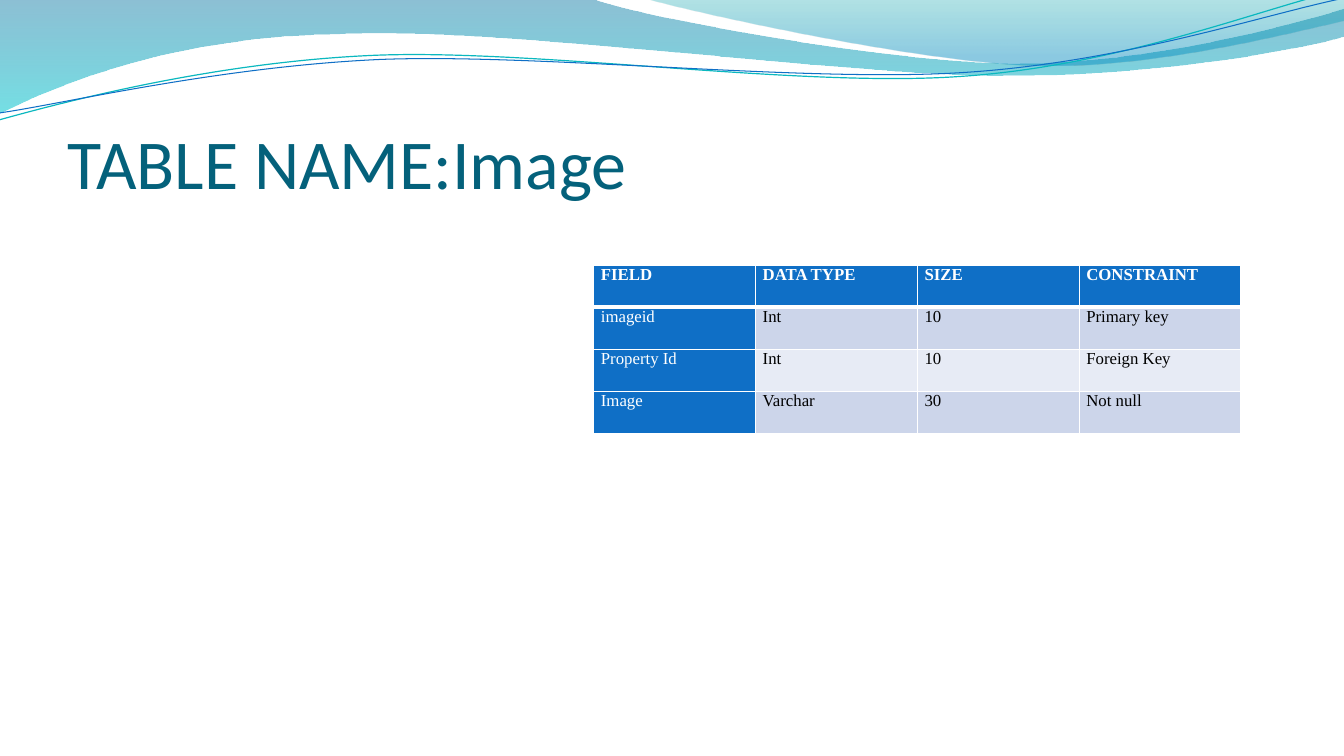
from math import cos, radians, sin

from lxml import etree
from pptx import Presentation
from pptx.dml.color import RGBColor
from pptx.enum.text import MSO_ANCHOR
from pptx.oxml.ns import qn
from pptx.util import Emu, Inches, Pt

BOTTOM = MSO_ANCHOR.BOTTOM
TOP = MSO_ANCHOR.TOP
COLS, ROWS = 13.33, 7.5
WIDE, HIGH = Inches(COLS), Inches(ROWS)
TILT = 2.7
BLUE, WHITE, BLACK = "0F6FC6", "FFFFFF", "000000"
BANDS = ["CCD5EA", "E7EBF5"]

BAND = [(0, 0), [(5.87, -0.01)],
        [(6.34, 0.17), (8.85, 0.63), (10.11, 0.63)],
        [(11.38, 0.63), (12.78, 0.26), (13.33, 0.09)], [(13.35, 0.36)],
        [(13.11, 0.44), (11.6, 0.76), (9.94, 0.75)],
        [(8.29, 0.75), (5.09, 0.28), (3.43, 0.34)],
        [(1.72, 0.36), (0.61, 0.83), (-0.01, 1.13)], [(0, 0)]]
CREST = [(6.39, -0.01),
         [(6.79, 0.11), (9.09, 0.62), (10.25, 0.65)],
         [(11.41, 0.69), (12.82, 0.32), (13.33, 0.21)],
         [(13.33, 0)], [(6.39, -0.01)]]
TEAL_LINE = [(-0.01, 1.19),
             [(0.64, 1.01), (2.11, 0.62), (3.69, 0.55)],
             [(5.27, 0.48), (7.9, 0.87), (9.5, 0.76)],
             [(11.1, 0.66), (12.52, 0.08), (13.31, -0.1)]]
BLUE_LINE = [(0, 1.12),
             [(0.63, 1.03), (2.18, 0.66), (3.78, 0.59)],
             [(5.37, 0.53), (7.96, 0.82), (9.55, 0.72)],
             [(11.15, 0.62), (12.55, 0.14), (13.34, -0.02)]]
FIELDS = [["FIELD", "DATA TYPE", "SIZE", "CONSTRAINT"],
          ["imageid", "Int", "10", "Primary key"],
          ["Property Id", "Int", "10", "Foreign Key"],
          ["Image", "Varchar", "30", "Not null"]]


def color(code):
    return RGBColor.from_string(code)


def across(cols):
    return Emu(round(WIDE * cols / COLS))


def down(rows):
    return Emu(round(HIGH * rows / ROWS))


def write(frame, text, font="Calibri", size=12, ink=BLACK, bold=False,
          anchor=TOP, inset=(0, 0, 0, 0)):
    frame.word_wrap = True
    frame.vertical_anchor = anchor
    frame.margin_left, frame.margin_right = map(across, inset[::2])
    frame.margin_top, frame.margin_bottom = map(down, inset[1::2])
    run = frame.paragraphs[0].add_run()
    run.text = text
    run.font.name = font
    run.font.size = Pt(size)
    run.font.bold = bold
    run.font.color.rgb = color(ink)


def turn(route, pivot, angle):
    a, (px, py) = radians(angle), pivot

    def spin(x, y):
        x, y = x - px, y - py
        return px + x * cos(a) - y * sin(a), py + x * sin(a) + y * cos(a)

    return [spin(*route[0])] + [[spin(*p) for p in part] for part in route[1:]]


def curve(shape, parts):
    legs = iter(list(shape.element.spPr.iter(qn("a:lnTo"))))
    for part in parts:
        group = [next(legs) for point in part]
        if len(group) == 3:
            bend = etree.Element(qn("a:cubicBezTo"))
            group[0].addprevious(bend)
            for leg in group:
                bend.append(leg[0])
                leg.getparent().remove(leg)


def trace(slide, route, closed):
    points = route[:1] + [point for part in route[1:] for point in part]
    spots = [(across(x), down(y)) for x, y in points]
    pen = slide.shapes.build_freeform(*spots[0])
    pen.add_line_segments(spots[1:], close=closed)
    shape = pen.convert_to_shape()
    curve(shape, route[1:])
    shape.shadow.inherit = False
    return shape


def wave(slide, route, stops):
    shape = trace(slide, route, True)
    shape.line.fill.background()
    shape.fill.gradient()
    shape.fill.gradient_angle = 270
    for stop, (place, code, share) in zip(shape.fill.gradient_stops, stops):
        stop.position = place
        stop.color.rgb = color(code)
    tints = shape.element.spPr.iter(qn("a:srgbClr"))
    for tint, (place, code, share) in zip(tints, stops):
        etree.SubElement(tint, qn("a:alpha"), val=str(share * 1000))


def thread(slide, route, pivot, code, weight):
    shape = trace(slide, turn(route, pivot, TILT), False)
    shape.rotation = -TILT
    shape.fill.background()
    shape.line.color.rgb = color(code)
    shape.line.width = Pt(weight)


def edge(cell, side, weight):
    line = etree.SubElement(cell._tc.get_or_add_tcPr(), qn("a:ln" + side),
                            w=str(Pt(weight)))
    fill = etree.SubElement(line, qn("a:solidFill"))
    etree.SubElement(fill, qn("a:srgbClr"), val=WHITE)


def grid(slide, data, left, top, width, height):
    count, span = len(data), len(data[0])
    frame = slide.shapes.add_table(count, span, across(left), down(top),
                                   across(width), down(height))
    table = frame.table
    for r, words in enumerate(data):
        for c, word in enumerate(words):
            cell = table.cell(r, c)
            head = r == 0 or c == 0
            write(cell.text_frame, word, font="Times New Roman",
                  ink=WHITE if head else BLACK, bold=r == 0)
            cell.margin_left = cell.margin_right = across(0.07)
            cell.margin_top = cell.margin_bottom = 0
            cell.vertical_anchor = TOP
            weights = {"L": 1, "R": 1, "T": 3 if r == 1 else 1,
                       "B": 3 if r == 0 else 1}
            for side, weight in weights.items():
                edge(cell, side, weight)
            cell.fill.solid()
            cell.fill.fore_color.rgb = color(BLUE if head else BANDS[(r - 1) % 2])


def title(slide, text):
    box = slide.shapes.add_textbox(across(0.67), down(0.77), across(12), down(1.25))
    write(box.text_frame, text, size=50, ink="04617B", anchor=BOTTOM,
          inset=(0, 0.05, 0, 0))


def main():
    deck = Presentation()
    deck.slide_width, deck.slide_height = WIDE, HIGH
    slide = deck.slides.add_slide(deck.slide_layouts[6])
    wave(slide, BAND, [(0, "0074A1", 45), (1, "00C6CF", 55)])
    wave(slide, CREST, [(0, "00A1A9", 30), (0.8, "008BBF", 45)])
    thread(slide, TEAL_LINE, (6.65, 0.58), "0AB8BF", 0.85)
    thread(slide, BLUE_LINE, (6.67, 0.59), BLUE, 0.75)
    title(slide, "TABLE NAME:Image")
    grid(slide, FIELDS, 5.89, 2.63, 6.42, 1.67)
    deck.save("out.pptx")


if __name__ == "__main__":
    main()
